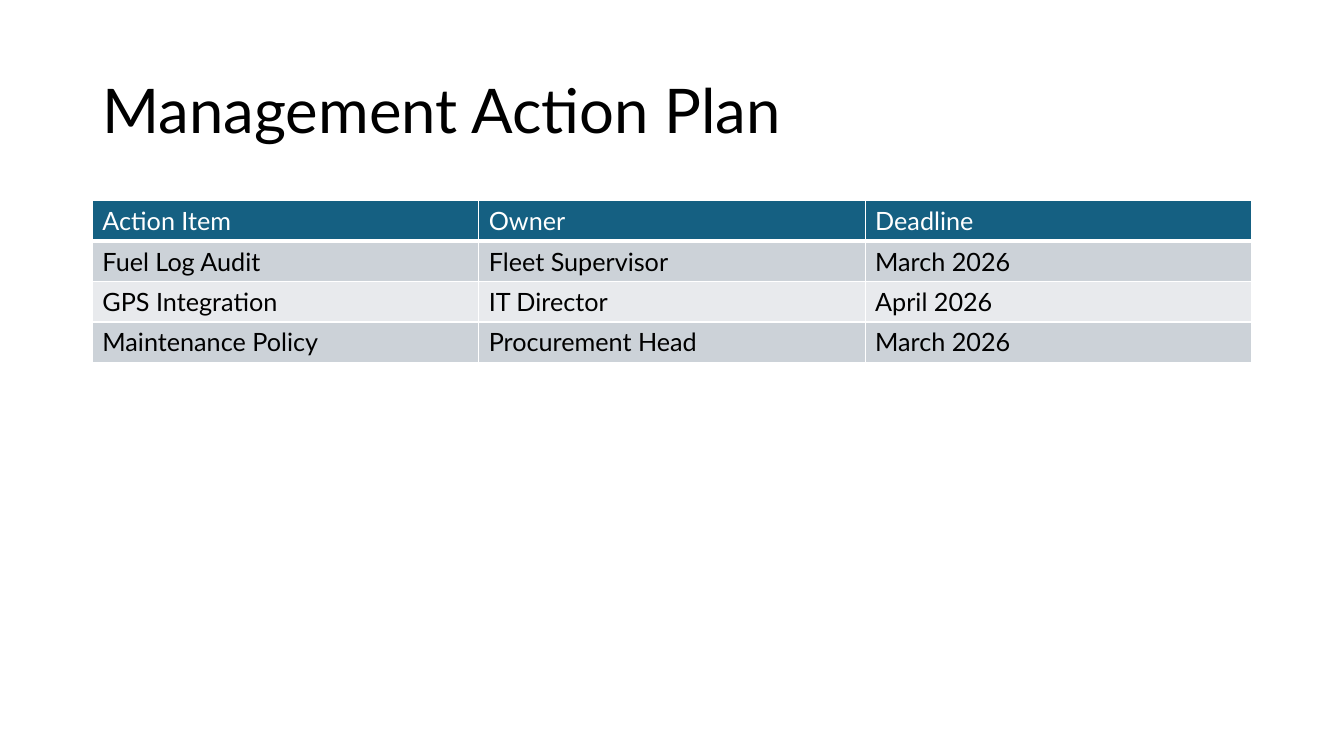
import pptx
import pptx.util
import pptx.dml.color
import pptx.enum.text
import lxml.etree
from pptx.oxml.ns import qn

Pt = pptx.util.Pt
COLOURS = {
    "header": "156082",
    "odd_row": "CCD2D8",
    "even_row": "E8EAED",
    "border": "FFFFFF",
    "header_text": "FFFFFF",
    "text": "000000",
}
FONT = "Lato"
LEFT, WIDTH = 66, 828
ROW_HEIGHT = 28.8

actions = [
    ["Action Item", "Owner", "Deadline"],
    ["Fuel Log Audit", "Fleet Supervisor", "March 2026"],
    ["GPS Integration", "IT Director", "April 2026"],
    ["Maintenance Policy", "Procurement Head", "March 2026"],
]


def add_run(paragraph, wording, size, colour):
    run = paragraph.add_run()
    run.text = wording
    run.font.name = FONT
    run.font.size = Pt(size)
    run.font.bold = False
    run.font.color.rgb = pptx.dml.color.RGBColor.from_string(COLOURS[colour])


def add_border(cell, side, width):
    line = lxml.etree.SubElement(cell._tc.get_or_add_tcPr(), qn(f"a:ln{side}"), w=str(Pt(width)))
    fill = lxml.etree.SubElement(line, qn("a:solidFill"))
    lxml.etree.SubElement(fill, qn("a:srgbClr"), val=COLOURS["border"])


deck = pptx.Presentation()
deck.slide_width, deck.slide_height = Pt(960), Pt(540)
slide = deck.slides.add_slide(deck.slide_layouts[5])

heading = slide.shapes.title
heading.left, heading.top, heading.width, heading.height = Pt(LEFT), Pt(28.75), Pt(WIDTH), Pt(104.4)
heading.text_frame.word_wrap = True
heading.text_frame.vertical_anchor = pptx.enum.text.MSO_ANCHOR.MIDDLE
heading_line = heading.text_frame.paragraphs[0]
heading_line.alignment = pptx.enum.text.PP_ALIGN.LEFT
heading_line.line_spacing = 0.9
add_run(heading_line, "Management Action Plan", 44, "text")

plan = slide.shapes.add_table(
    len(actions), len(actions[0]), Pt(LEFT), Pt(143.5), Pt(WIDTH), Pt(ROW_HEIGHT * len(actions))
).table

for row, entries in enumerate(actions):
    plan.rows[row].height = Pt(ROW_HEIGHT)
    band = "header" if row == 0 else "odd_row" if row % 2 else "even_row"
    for column, entry in enumerate(entries):
        cell = plan.cell(row, column)
        for side in "LRTB":
            add_border(cell, side, 3 if row == 0 and side == "B" else 1)
        cell.fill.solid()
        cell.fill.fore_color.rgb = pptx.dml.color.RGBColor.from_string(COLOURS[band])
        add_run(cell.text_frame.paragraphs[0], entry, 18, "text" if row else "header_text")

deck.save("out.pptx")
